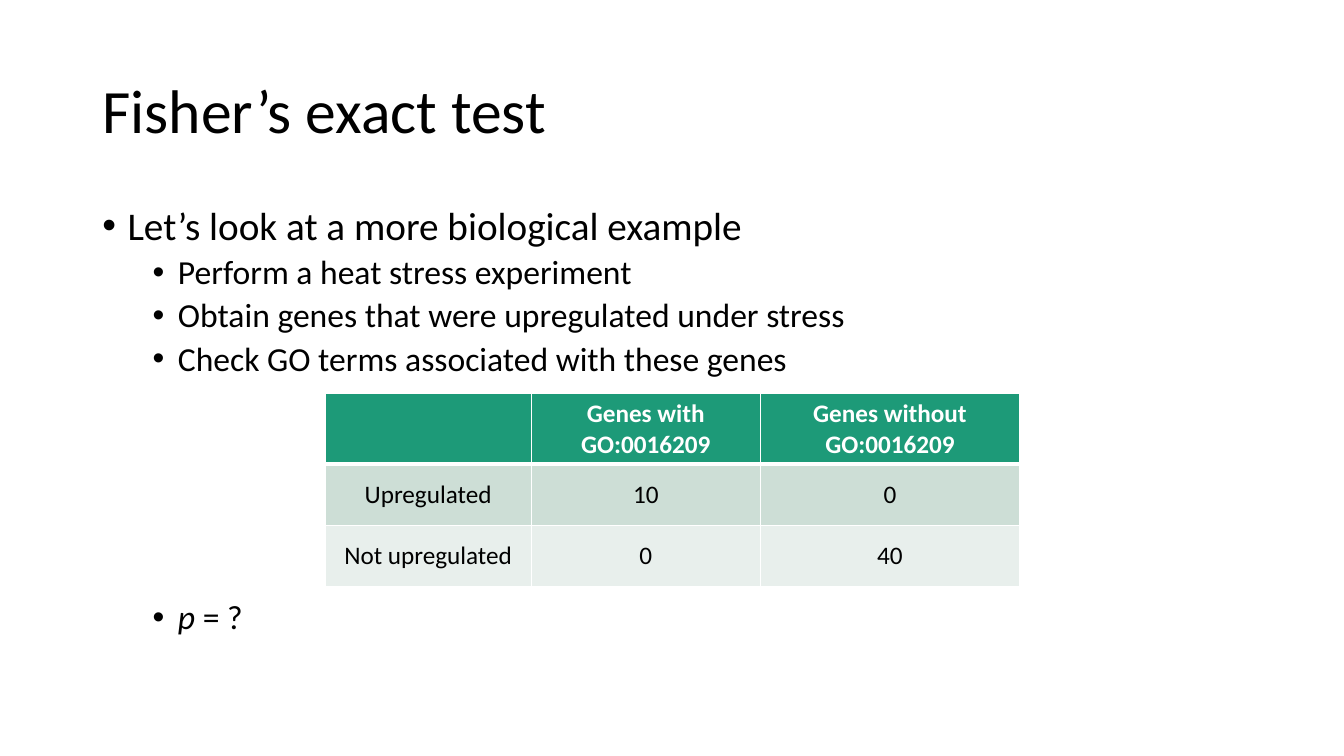
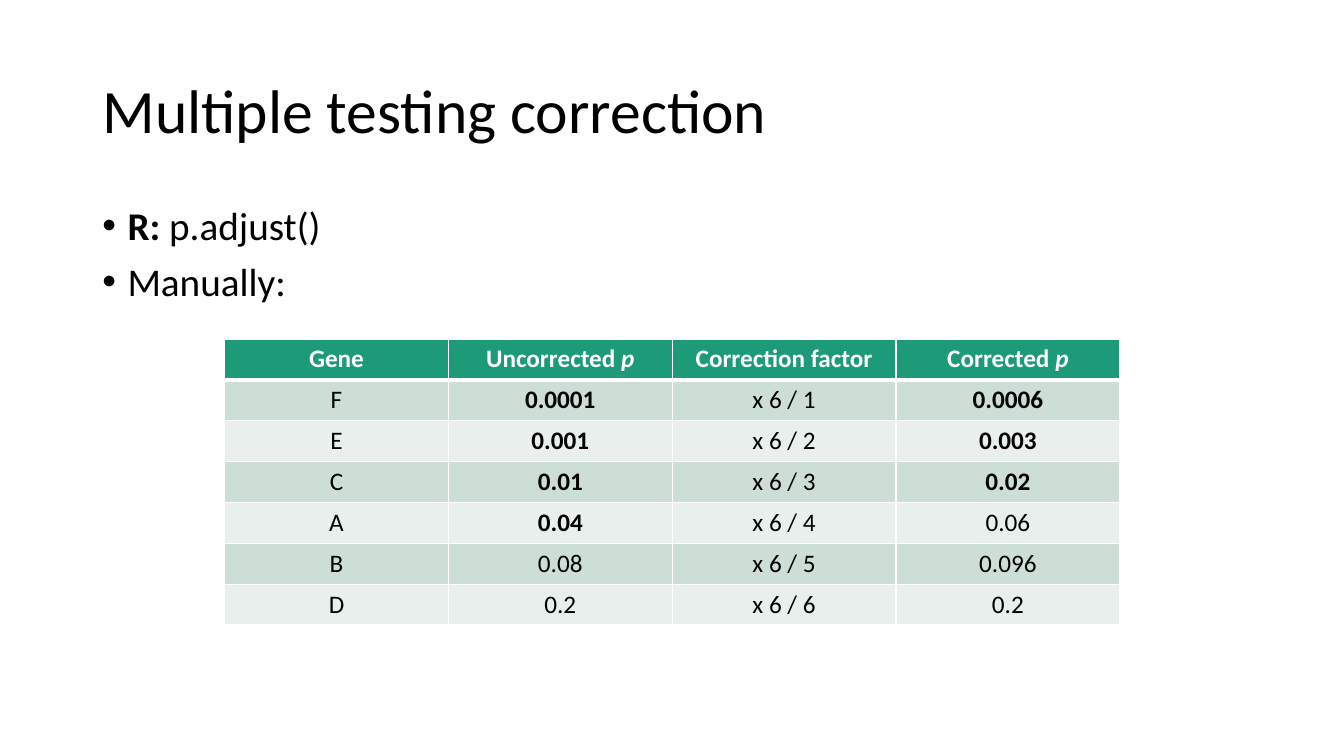
import lxml.etree
import pptx
import pptx.dml.color
import pptx.enum.text
import pptx.oxml.ns
import pptx.util

Cm = pptx.util.Cm
Pt = pptx.util.Pt

FONT = "Calibri"
BLACK = pptx.dml.color.RGBColor(0x00, 0x00, 0x00)
WHITE = pptx.dml.color.RGBColor(0xFF, 0xFF, 0xFF)
GREEN = pptx.dml.color.RGBColor(0x1D, 0x9A, 0x78)
BANDS = (
    pptx.dml.color.RGBColor(0xCD, 0xDE, 0xD6),
    pptx.dml.color.RGBColor(0xE8, 0xEF, 0xEC),
)

MARGIN = Cm(2.33)
CONTENT_WIDTH = Cm(29.21)
BULLET_SIZES = (28, 24)
BULLET_SPACING = (10, 5)
BULLET_INDENT = Cm(0.635)
LEVEL_STEP = Cm(1.27)
SIGNIFICANCE = 0.05


def add_child(parent, tag, **attributes):
    return lxml.etree.SubElement(parent, pptx.oxml.ns.qn(tag), attributes)


def style_font(font, size, color, bold=False):
    font.name = FONT
    font.size = Pt(size)
    font.color.rgb = color
    font.bold = bold


def add_runs(paragraph, content):
    runs = [(content, "")] if isinstance(content, str) else content
    for text, emphasis in runs:
        run = paragraph.add_run()
        run.text = text
        if emphasis == "bold":
            run.font.bold = True
        elif emphasis == "italic":
            run.font.italic = True


def add_titled_slide(presentation, text):
    slide = presentation.slides.add_slide(presentation.slide_layouts[5])
    title = slide.shapes.title
    title.left, title.top = MARGIN, Cm(1.01)
    title.width, title.height = CONTENT_WIDTH, Cm(3.68)
    frame = title.text_frame
    frame.text = text
    frame.word_wrap = True
    frame.auto_size = pptx.enum.text.MSO_AUTO_SIZE.NONE
    frame.vertical_anchor = pptx.enum.text.MSO_ANCHOR.MIDDLE
    paragraph = frame.paragraphs[0]
    paragraph.alignment = pptx.enum.text.PP_ALIGN.LEFT
    paragraph.line_spacing = 0.9
    style_font(paragraph.font, 44, BLACK)
    return slide


def format_bullet(paragraph, level):
    paragraph.level = level
    paragraph.line_spacing = 0.9
    paragraph.space_before = Pt(BULLET_SPACING[level])
    properties = paragraph._p.get_or_add_pPr()
    properties.set("marL", str(BULLET_INDENT + level * LEVEL_STEP))
    properties.set("indent", str(-BULLET_INDENT))
    add_child(properties, "a:buFont", typeface="Arial")
    add_child(properties, "a:buChar", char="•")
    style_font(paragraph.font, BULLET_SIZES[level], BLACK)


def add_bullets(slide, bullets):
    box = slide.shapes.add_textbox(MARGIN, Cm(5.07), CONTENT_WIDTH, Cm(12.09))
    frame = box.text_frame
    frame.word_wrap = True
    for index, (level, content) in enumerate(bullets):
        paragraph = frame.add_paragraph() if index else frame.paragraphs[0]
        format_bullet(paragraph, level)
        add_runs(paragraph, content)
    return frame


def set_borders(cell, top, bottom):
    properties = cell._tc.get_or_add_tcPr()
    widths = (("a:lnL", 1), ("a:lnR", 1), ("a:lnT", top), ("a:lnB", bottom))
    for position, (tag, width) in enumerate(widths):
        line = add_child(properties, tag, w=str(Pt(width)))
        fill = add_child(line, "a:solidFill")
        add_child(fill, "a:srgbClr", val=str(WHITE))
        properties.insert(position, line)


def format_cell(cell, row, content):
    is_header = row == 0
    cell.vertical_anchor = pptx.enum.text.MSO_ANCHOR.MIDDLE
    cell.fill.solid()
    cell.fill.fore_color.rgb = GREEN if is_header else BANDS[(row - 1) % 2]
    set_borders(cell, 3 if row == 1 else 1, 3 if is_header else 1)
    paragraph = cell.text_frame.paragraphs[0]
    paragraph.alignment = pptx.enum.text.PP_ALIGN.CENTER
    style_font(paragraph.font, 18, WHITE if is_header else BLACK, is_header)
    if content:
        add_runs(paragraph, content)


def add_data_table(slide, left, top, column_widths, row_height, rows):
    table = slide.shapes.add_table(
        len(rows), len(column_widths), left, top,
        sum(column_widths), row_height * len(rows),
    ).table
    for column, width in zip(table.columns, column_widths):
        column.width = width
    for row, contents in enumerate(rows):
        table.rows[row].height = row_height
        for column, content in enumerate(contents):
            format_cell(table.cell(row, column), row, content)


def probability(value):
    return [(f"{value:g}", "bold" if value < SIGNIFICANCE else "")]


def correction_rows(uncorrected):
    count = len(uncorrected)
    rows = [(
        "Gene",
        [("Uncorrected ", ""), ("p", "italic")],
        "Correction factor",
        [("Corrected ", ""), ("p", "italic")],
    )]
    for rank, (gene, value) in enumerate(uncorrected, start=1):
        rows.append((
            gene,
            probability(value),
            f"x {count} / {rank}",
            probability(value * count / rank),
        ))
    return rows


def build_fisher_slide(presentation):
    slide = add_titled_slide(presentation, "Fisher’s exact test")
    frame = add_bullets(slide, [
        (0, "Let’s look at a more biological example"),
        (1, "Perform a heat stress experiment"),
        (1, "Obtain genes that were upregulated under stress"),
        (1, "Check GO terms associated with these genes"),
        (1, [("p", "italic"), (" = ?", "")]),
    ])
    frame.paragraphs[-1].space_before = Pt(159)
    add_data_table(
        slide, Cm(8.19), Cm(9.92), [Cm(5.2), Cm(5.77), Cm(6.54)], Cm(1.54),
        [
            ("", "Genes with GO:0016209", "Genes without GO:0016209"),
            ("Upregulated", "10", "0"),
            ("Not upregulated", "0", "40"),
        ],
    )


def build_correction_slide(presentation):
    slide = add_titled_slide(presentation, "Multiple testing correction")
    add_bullets(slide, [
        (0, [("R: ", "bold"), ("p.adjust()", "")]),
        (0, "Manually:"),
    ])
    uncorrected = [
        ("F", 0.0001), ("E", 0.001), ("C", 0.01),
        ("A", 0.04), ("B", 0.08), ("D", 0.2),
    ]
    add_data_table(
        slide, Cm(5.66), Cm(8.54), [Cm(5.64)] * 4, Cm(1.03),
        correction_rows(uncorrected),
    )


def main():
    presentation = pptx.Presentation()
    presentation.slide_width = Cm(33.87)
    presentation.slide_height = Cm(19.05)
    build_fisher_slide(presentation)
    build_correction_slide(presentation)
    presentation.save("out.pptx")


if __name__ == "__main__":
    main()
